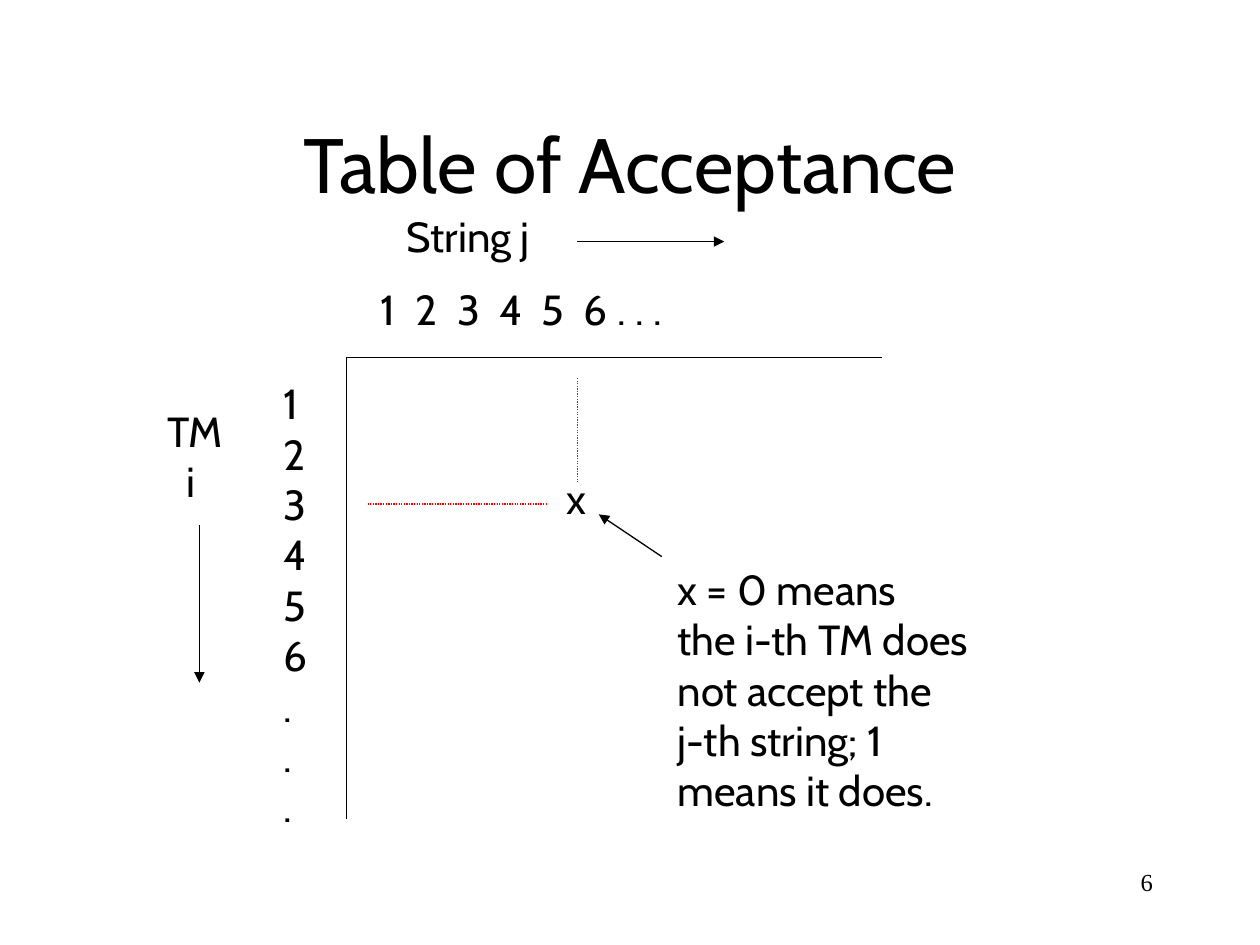
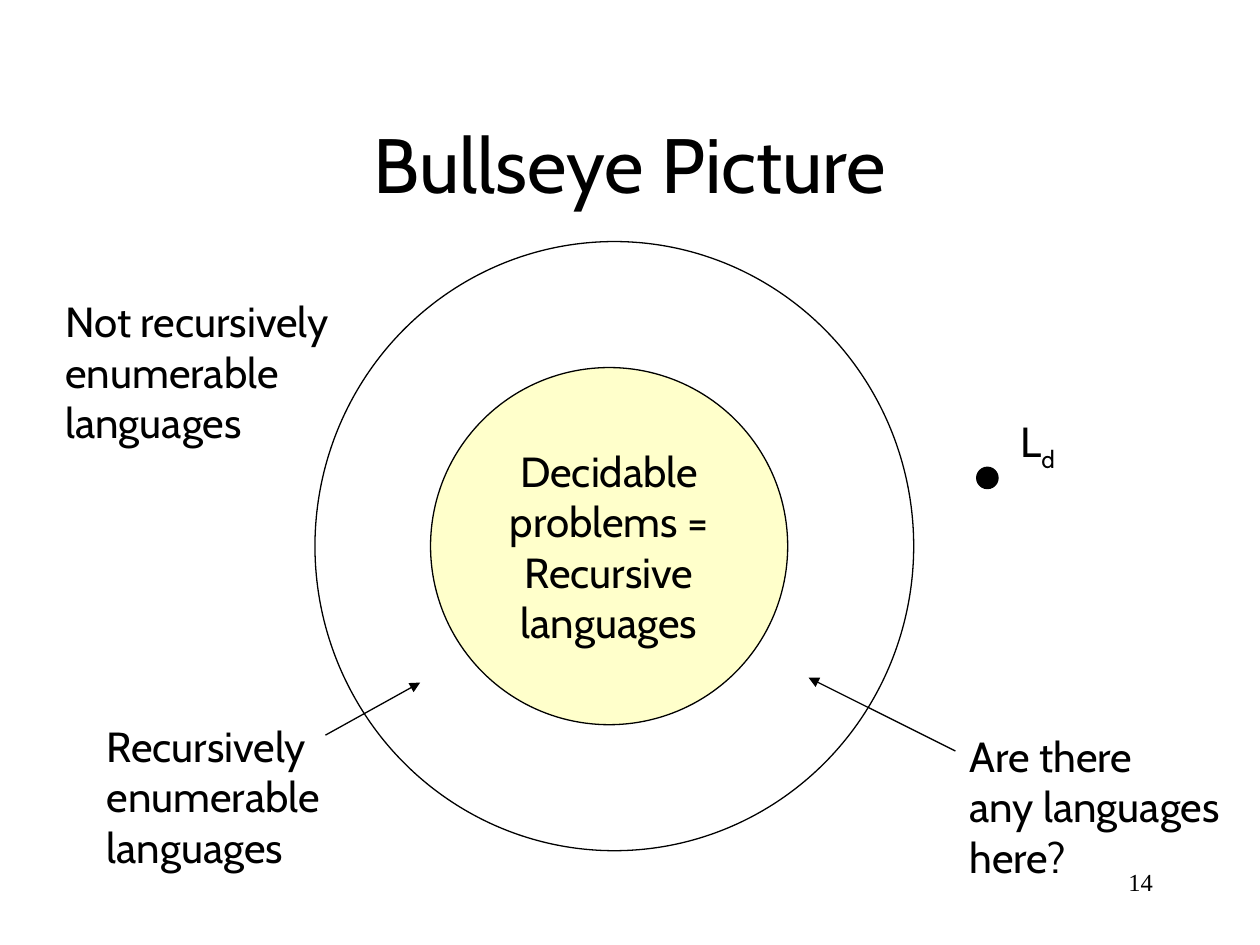
from lxml import etree
from pptx import Presentation
from pptx.dml.color import RGBColor
from pptx.enum.dml import MSO_LINE
from pptx.enum.shapes import MSO_CONNECTOR, MSO_SHAPE
from pptx.enum.text import MSO_ANCHOR, PP_ALIGN
from pptx.oxml.ns import qn
from pptx.util import Cm, Pt

LEFT, CENTER, RIGHT = PP_ALIGN.LEFT, PP_ALIGN.CENTER, PP_ALIGN.RIGHT
TOP, MIDDLE = MSO_ANCHOR.TOP, MSO_ANCHOR.MIDDLE
OVAL, STRAIGHT, DOTTED = MSO_SHAPE.OVAL, MSO_CONNECTOR.STRAIGHT, MSO_LINE.ROUND_DOT
COLORS = {"ink": "000000", "guide": "FF0000", "core": "FFFF99"}
BODY_FONT, NUMBER_FONT = "Cabin", "Times New Roman"
LINE_WIDTH = Pt(0.75)


def write_lines(shape, lines, size=24, align=LEFT, anchor=TOP, font=BODY_FONT):
    frame = shape.text_frame
    frame.word_wrap = True
    frame.vertical_anchor = anchor
    for index, line in enumerate(lines):
        paragraph = frame.add_paragraph() if index else frame.paragraphs[0]
        paragraph.text = line
        paragraph.alignment = align
        paragraph.font.size = Pt(size)
        paragraph.font.name = font
        paragraph.font.color.rgb = RGBColor.from_string(COLORS["ink"])
    return frame


def add_line(slide, start_x, start_y, end_x, end_y, color="ink", arrow=False):
    connector = slide.shapes.add_connector(
        STRAIGHT, Cm(start_x), Cm(start_y), Cm(end_x), Cm(end_y))
    connector.line.color.rgb = RGBColor.from_string(COLORS[color])
    connector.line.width = LINE_WIDTH
    if color == "guide":
        connector.line.dash_style = DOTTED
    properties = connector._element.spPr
    if arrow:
        etree.SubElement(properties.find(qn("a:ln")), qn("a:tailEnd"), type="triangle")
    etree.SubElement(properties, qn("a:effectLst"))


presentation = Presentation()
presentation.slide_width, presentation.slide_height = Cm(25.4), Cm(19.05)

slides = []
for title, number in [("Table of Acceptance", "6"), ("Bullseye Picture", "14")]:
    slide = presentation.slides.add_slide(presentation.slide_layouts[6])
    number_box = slide.shapes.add_textbox(Cm(18.2), Cm(17.36), Cm(5.29), Cm(1.27))
    write_lines(number_box, [number], 14, RIGHT, font=NUMBER_FONT)
    title_box = slide.shapes.add_textbox(Cm(1.9), Cm(1.69), Cm(21.6), Cm(3.18))
    write_lines(title_box, [title], 44, CENTER, MIDDLE)
    slides.append(slide)
table_slide, bullseye_slide = slides

add_line(table_slide, 6.99, 7.2, 6.99, 16.51)
add_line(table_slide, 6.99, 7.2, 17.78, 7.2)
add_line(table_slide, 4.02, 10.58, 4.02, 13.76, arrow=True)
add_line(table_slide, 11.64, 4.87, 14.6, 4.87, arrow=True)
add_line(table_slide, 7.41, 10.16, 11.01, 10.16, "guide")
add_line(table_slide, 11.64, 7.62, 11.64, 9.74, "guide")
add_line(table_slide, 13.34, 11.22, 12.07, 10.37, arrow=True)

row_labels = ["1", "2", "3", "4", "5", "6", ".", ".", "."]
table_texts = [
    (5.46, 7.49, 0.99, 9.4, row_labels),
    (7.95, 4.11, 3.33, 1.27, ["String j"]),
    (11.18, 9.4, 0.94, 1.27, ["x"]),
    (13.41, 11.23, 6.93, 5.33, [
        "x = 0 means", "the i-th TM does", "not accept the",
        "j-th string; 1", "means it does."]),
]
bullseye_texts = [
    (1.9, 14.4, 5.33, 3.3, ["Recursively", "enumerable", "languages"]),
    (1.07, 5.84, 6.48, 3.3, ["Not recursively", "enumerable", "languages"]),
    (19.3, 14.6, 6.3, 3.3, ["Are there", "any languages", "here?"]),
]
for slide, texts in [(table_slide, table_texts), (bullseye_slide, bullseye_texts)]:
    for left, top, width, height, lines in texts:
        text_box = slide.shapes.add_textbox(Cm(left), Cm(top), Cm(width), Cm(height))
        write_lines(text_box, lines)

machine_box = table_slide.shapes.add_textbox(Cm(3.12), Cm(8.05), Cm(1.75), Cm(2.29))
machine_frame = write_lines(machine_box, ["TM", "i"])
machine_frame.paragraphs[1]._p.get_or_add_pPr().set("marL", str(Cm(0.39)))

column_box = table_slide.shapes.add_textbox(Cm(7.42), Cm(5.59), Cm(6.96), Cm(1.27))
column_frame = column_box.text_frame
tab_list = etree.SubElement(
    column_frame.paragraphs[0]._p.get_or_add_pPr(), qn("a:tabLst"))
for step in range(5):
    etree.SubElement(tab_list, qn("a:tab"), pos=str(Cm(0.7 + 0.85 * step)), algn="l")
write_lines(column_box, ["1\t2\t3\t4\t5\t6 . . ."])

circles = [
    (8.68, 7.41, 7.2, 7.2, "core"),
    (6.35, 4.87, 12.07, 12.28, None),
    (19.69, 9.42, 0.43, 0.43, "ink"),
]
for left, top, width, height, fill in circles:
    circle = bullseye_slide.shapes.add_shape(
        OVAL, Cm(left), Cm(top), Cm(width), Cm(height))
    circle.shadow.inherit = False
    circle.line.color.rgb = RGBColor.from_string(COLORS["ink"])
    circle.line.width = LINE_WIDTH
    if fill is None:
        circle.fill.background()
        continue
    circle.fill.solid()
    circle.fill.fore_color.rgb = RGBColor.from_string(COLORS[fill])
    if fill == "core":
        fill_color = circle._element.spPr.find(qn("a:solidFill"))[0]
        etree.SubElement(fill_color, qn("a:alpha"), val="50000")
        write_lines(circle, ["Decidable", "problems =", "Recursive", "languages"],
                    align=CENTER, anchor=MIDDLE)

add_line(bullseye_slide, 6.56, 14.82, 8.47, 13.76, arrow=True)
add_line(bullseye_slide, 19.26, 15.14, 16.3, 13.66, arrow=True)

language_box = bullseye_slide.shapes.add_textbox(Cm(20.32), Cm(8.26), Cm(1.3), Cm(1.42))
language_frame = write_lines(language_box, ["L"])
subscript = language_frame.paragraphs[0].add_run()
subscript.text = "d"
subscript._r.get_or_add_rPr().set("baseline", "-25000")

presentation.save("out.pptx")
